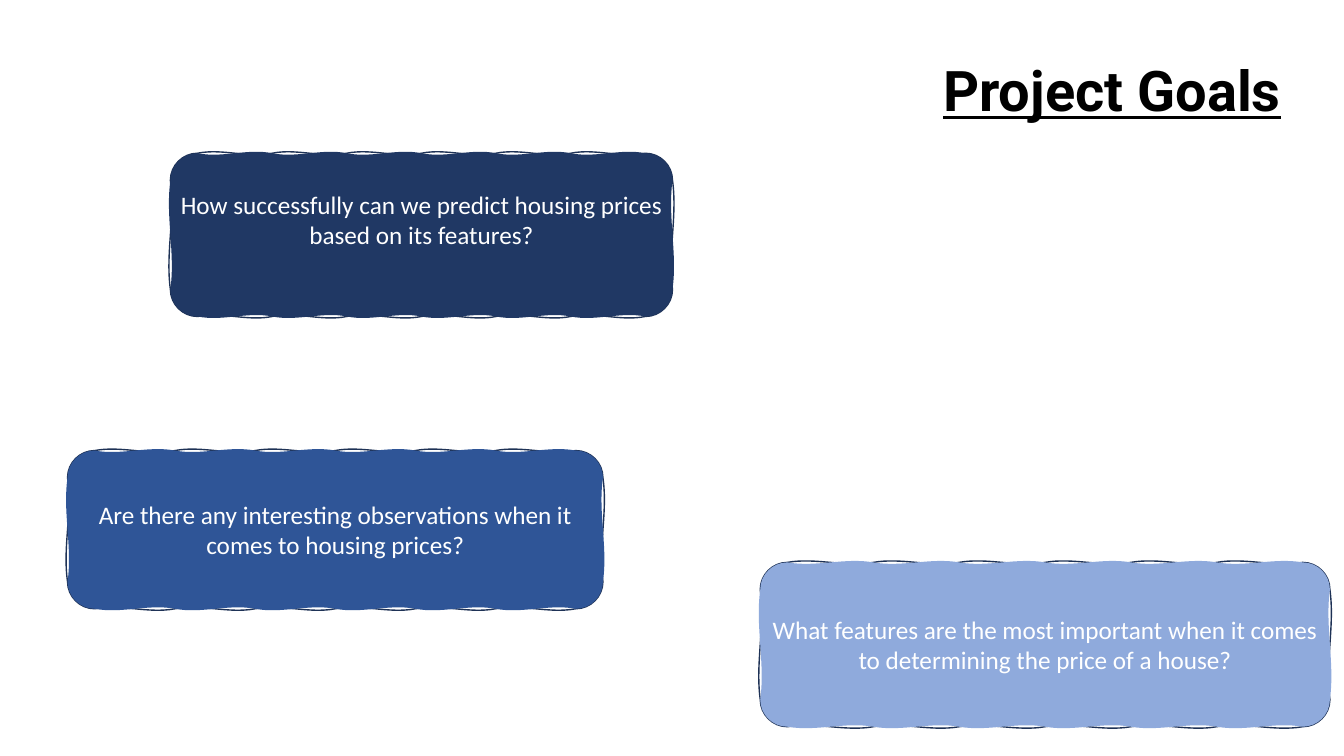
from copy import deepcopy

from lxml.etree import SubElement
from pptx import Presentation
from pptx.dml.color import RGBColor
from pptx.enum.text import MSO_ANCHOR, PP_ALIGN
from pptx.oxml.ns import qn
from pptx.util import Inches, Pt

BLACK = RGBColor(0x00, 0x00, 0x00)
WHITE = RGBColor(0xFF, 0xFF, 0xFF)
INK = RGBColor(0x1E, 0x32, 0x56)
NAVY = RGBColor(0x20, 0x38, 0x64)
BLUE = RGBColor(0x2F, 0x55, 0x97)
SKY = RGBColor(0x8F, 0xAA, 0xDC)


def write(frame, text, font="Calibri", size=18, color=WHITE, bold=False,
          under=False, anchor=MSO_ANCHOR.MIDDLE, space=1.0, foot=0.05):
    frame.word_wrap = True
    frame.vertical_anchor = anchor
    frame.margin_bottom = Inches(foot)
    line = frame.paragraphs[0]
    line.alignment = PP_ALIGN.CENTER
    line.line_spacing = space
    run = line.add_run()
    run.text = text
    run.font.name = font
    run.font.size = Pt(size)
    run.font.color.rgb = color
    run.font.bold = bold
    run.font.underline = under


def ripple(left, top, width, height, sway, radius=0.27):
    x, y = left, top + radius
    spots = [(x, y)]
    sides = [(1, 0, width), (0, 1, height), (-1, 0, width), (0, -1, height)]
    for dx, dy, side in sides:
        ux, uy = dy, -dx
        bend = 0.55 * radius
        ex, ey = x + radius * (dx + ux), y + radius * (dy + uy)
        spots += [(x + ux * bend, y + uy * bend),
                  (ex - dx * bend, ey - dy * bend), (ex, ey)]
        x, y = ex, ey
        span = side - 2 * radius
        waves = round(span / 0.8)
        pace = span / waves
        for _ in range(waves):
            for share, lift in ((1 / 3, sway), (2 / 3, -sway), (1, 0)):
                spots.append((x + dx * pace * share + ux * lift,
                              y + dy * pace * share + uy * lift))
            x, y = x + dx * pace, y + dy * pace
    return [(Inches(a), Inches(b)) for a, b in spots]


def curve(track):
    lines = track.findall(qn("a:lnTo"))
    for first in range(0, len(lines), 3):
        bend = SubElement(track, qn("a:cubicBezTo"))
        lines[first].addprevious(bend)
        for node in lines[first:first + 3]:
            bend.append(node[0])
            track.remove(node)


class Deck:
    """Builds one slide of titles and hand-drawn goal cards."""

    def __init__(self):
        self.show = Presentation()
        self.show.slide_width = Inches(13.33)
        self.show.slide_height = Inches(7.5)
        self.slide = self.show.slides.add_slide(self.show.slide_layouts[6])

    def title(self, text, left, top, width, height):
        box = self.slide.shapes.add_textbox(
            Inches(left), Inches(top), Inches(width), Inches(height))
        write(box.text_frame, text, font="Roboto", size=40, color=BLACK,
              bold=True, under=True, anchor=MSO_ANCHOR.BOTTOM, space=0.9)

    def card(self, text, left, top, width, height, color, foot=0.05):
        edge = ripple(left, top, width, height, 0.05)
        body = ripple(left, top, width, height, -0.05)
        pen = self.slide.shapes.build_freeform(*edge[0], scale=1.0)
        pen.add_line_segments(edge[1:], close=True)
        pen.move_to(*body[0])
        pen.add_line_segments(body[1:], close=True)
        shape = pen.convert_to_shape()
        shape.shadow.inherit = False
        shape.fill.solid()
        shape.fill.fore_color.rgb = color
        shape.line.color.rgb = INK
        shape.line.width = Pt(1)
        self.split(shape)
        write(shape.text_frame, text, foot=foot)

    def split(self, shape):
        rim = next(shape._element.iter(qn("a:path")))
        core = deepcopy(rim)
        cut = rim.index(rim.findall(qn("a:moveTo"))[1])
        for node in list(rim)[cut:]:
            rim.remove(node)
        for node in list(core)[:cut]:
            core.remove(node)
        rim.set("fill", "none")
        core.set("stroke", "0")
        rim.addnext(core)
        curve(rim)
        curve(core)


def main():
    deck = Deck()
    deck.title("Project Goals", 8.98, 0.35, 4.1, 0.93)
    deck.card("What features are the most important when it comes to "
              "determining the price of a house?", 7.54, 5.58, 5.65, 1.63, SKY)
    deck.card("How successfully can we predict housing prices based on its "
              "features?", 1.69, 1.52, 4.98, 1.62, NAVY, foot=0.35)
    deck.card("Are there any interesting observations when it comes to "
              "housing prices?", 0.67, 4.47, 5.31, 1.57, BLUE)
    deck.show.save("out.pptx")


if __name__ == "__main__":
    main()
